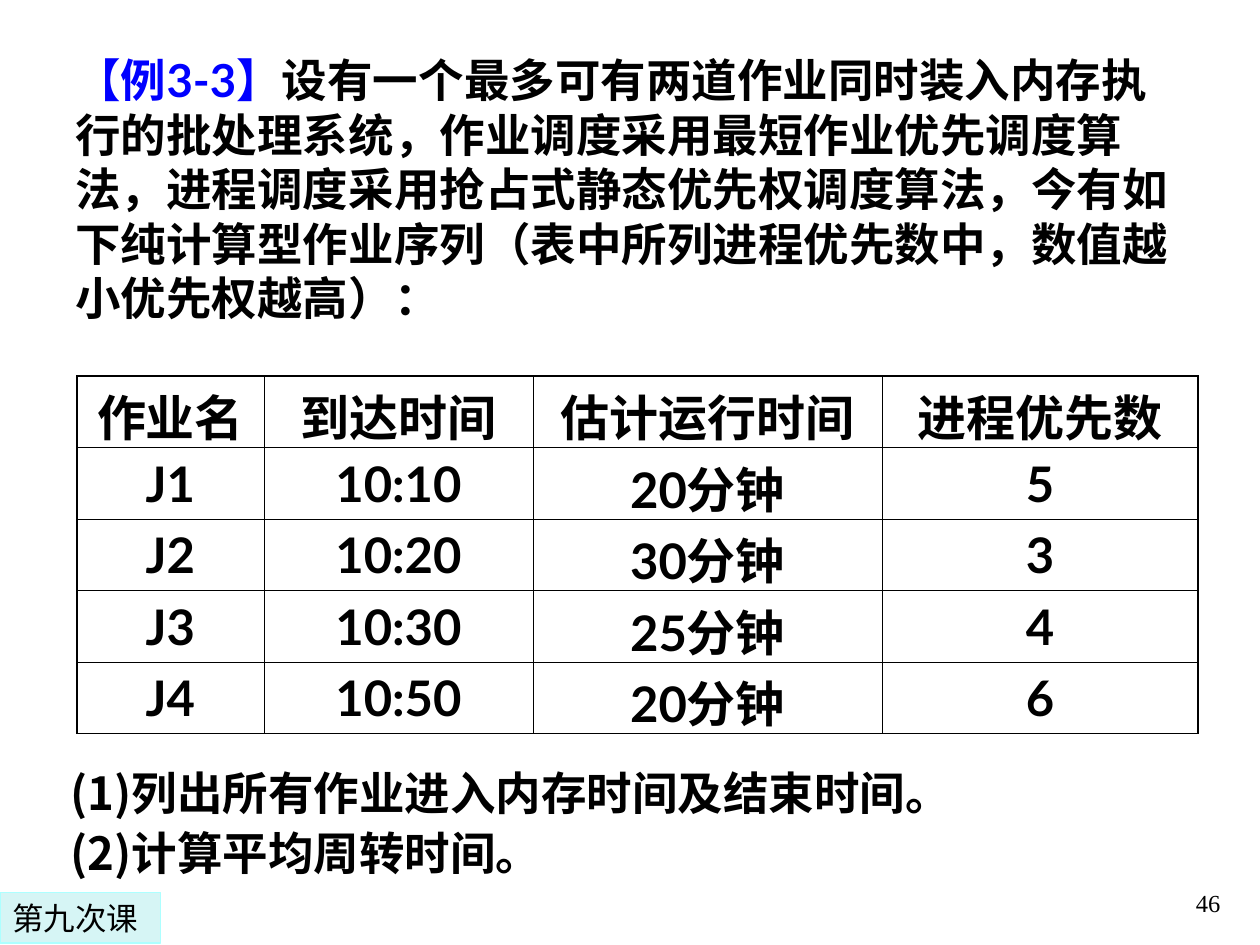
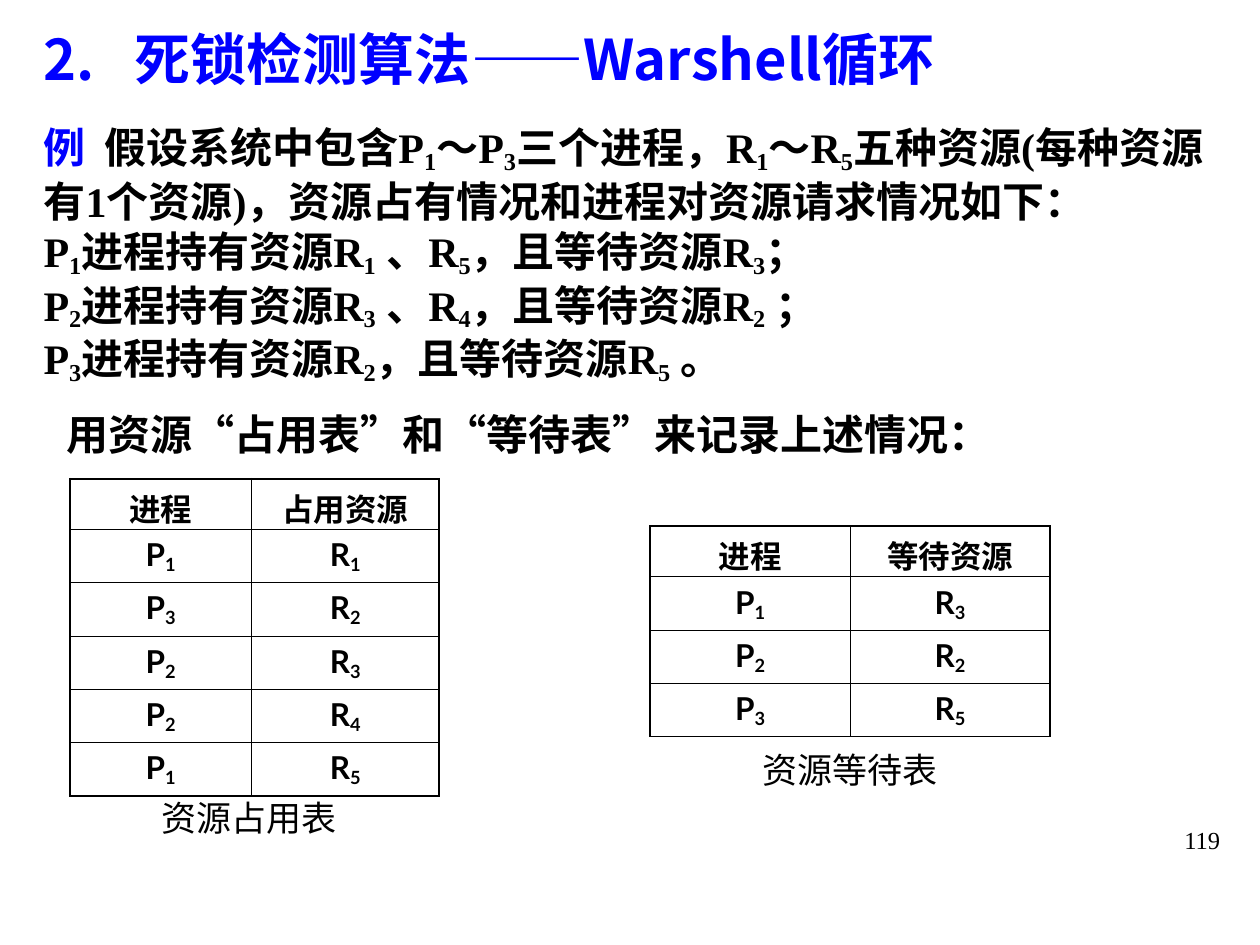
from dataclasses import dataclass

from lxml import etree
from pptx import Presentation
from pptx.dml.color import RGBColor
from pptx.enum.lang import MSO_LANGUAGE_ID
from pptx.enum.shapes import MSO_SHAPE
from pptx.enum.text import MSO_ANCHOR, PP_ALIGN
from pptx.oxml.ns import qn
from pptx.util import Pt

RECTANGLE = MSO_SHAPE.RECTANGLE
TOP, BOTTOM = MSO_ANCHOR.TOP, MSO_ANCHOR.BOTTOM
LEFT, CENTER, RIGHT = PP_ALIGN.LEFT, PP_ALIGN.CENTER, PP_ALIGN.RIGHT
CHINESE = MSO_LANGUAGE_ID.SIMPLIFIED_CHINESE

COLORS = {
    "text": "000000",
    "accent": "0000FF",
    "tag_fill": "D6F5F5",
    "tag_line": "ADFFFF",
    "border": "000000",
}
LATO, NOTO, TIMES, DEJAVU = "Lato", "Noto Sans CJK SC", "Times New Roman", "DejaVu Sans"
OUTER, INNER = 1.08, 0.45


@dataclass
class Part:
    """A stretch of text; an underscore makes the next character a subscript."""
    text: str
    font: str = LATO
    color: str = "text"
    east_asian: str = LATO


@dataclass
class TextBox:
    left: float
    top: float
    width: float
    height: float
    size: float
    paragraphs: list[list[Part]]
    bold: bool = True
    align: PP_ALIGN = LEFT
    anchor: MSO_ANCHOR = TOP
    gap: float = 0
    line: float | None = None
    tab: float | None = None


@dataclass
class Grid:
    left: float
    top: float
    col_widths: list[float]
    row_heights: list[float]
    size: float
    chinese_top: float
    rows: list[list[str]]


def rgb(name: str) -> RGBColor:
    return RGBColor.from_string(COLORS[name])


def add_run(p, text: str, part: Part, size: float, bold: bool, subscript: bool) -> None:
    r = p.add_run()
    r.text = text
    font = r.font
    font.size, font.bold, font.name = Pt(size), bold, part.font
    font.color.rgb = rgb(part.color)
    font.language_id = CHINESE
    rPr = r._r.get_or_add_rPr()
    if subscript:
        rPr.set("baseline", "-16000")
    ea = etree.Element(qn("a:ea"), typeface=part.east_asian)
    rPr.find(qn("a:latin")).addnext(ea)


def add_part(p, part: Part, size: float, bold: bool) -> None:
    plain, *marked = part.text.split("_")
    pieces = [(plain, False)]
    for piece in marked:
        pieces += [(piece[0], True), (piece[1:], False)]
    for text, subscript in pieces:
        if text:
            add_run(p, text, part, size, bold, subscript)


def set_tab(p, position: float) -> None:
    tabs = etree.SubElement(p._p.get_or_add_pPr(), qn("a:tabLst"))
    etree.SubElement(tabs, qn("a:tab"), pos=str(Pt(position)), algn="l")


def fill_text(tf, box: TextBox) -> None:
    tf.word_wrap = True
    tf.vertical_anchor = box.anchor
    for i, parts in enumerate(box.paragraphs):
        p = tf.add_paragraph() if i else tf.paragraphs[0]
        p.alignment = box.align
        p._p.get_or_add_pPr().set("hangingPunct", "0")
        if i and box.gap:
            p.space_before = Pt(box.gap)
        if box.line:
            p.line_spacing = Pt(box.line)
        if box.tab and not i:
            set_tab(p, box.tab)
        for part in parts:
            add_part(p, part, box.size, box.bold)


def add_text(s, box: TextBox) -> None:
    sp = s.shapes.add_textbox(Pt(box.left), Pt(box.top), Pt(box.width), Pt(box.height))
    fill_text(sp.text_frame, box)


def add_lesson_tag(s, box: TextBox) -> None:
    sp = s.shapes.add_shape(RECTANGLE, Pt(box.left), Pt(box.top), Pt(box.width), Pt(box.height))
    sp.shadow.inherit = False
    sp.fill.solid()
    sp.fill.fore_color.rgb = rgb("tag_fill")
    sp.line.color.rgb = rgb("tag_line")
    sp.line.width = Pt(0.75)
    fill_text(sp.text_frame, box)


def add_page_number(s, number: int, top: float) -> None:
    add_text(s, TextBox(554.6, top, 149.8, 36, 14, [[Part(str(number), TIMES)]],
                        bold=False, align=RIGHT, anchor=BOTTOM))


def set_borders(cell, widths: dict[str, float]) -> None:
    tcPr = cell._tc.get_or_add_tcPr()
    for i, (side, width) in enumerate(widths.items()):
        ln = etree.Element(qn(f"a:{side}"), w=str(Pt(width)))
        fill = etree.SubElement(ln, qn("a:solidFill"))
        etree.SubElement(fill, qn("a:srgbClr"), val=COLORS["border"])
        tcPr.insert(i, ln)


def add_grid(s, grid: Grid) -> None:
    """Draw a table; cells with Chinese text sit lower in their rows."""
    n_rows, n_cols = len(grid.rows), len(grid.col_widths)
    table = s.shapes.add_table(n_rows, n_cols, Pt(grid.left), Pt(grid.top),
                               Pt(sum(grid.col_widths)), Pt(sum(grid.row_heights))).table
    table.first_row = table.horz_banding = False
    for column, width in zip(table.columns, grid.col_widths):
        column.width = Pt(width)
    for row, height in zip(table.rows, grid.row_heights):
        row.height = Pt(height)
    for i, texts in enumerate(grid.rows):
        for j, text in enumerate(texts):
            cell = table.cell(i, j)
            cell.fill.background()
            if not text.isascii():
                cell.margin_top, cell.margin_bottom = Pt(grid.chinese_top), Pt(0)
            set_borders(cell, {
                "lnL": INNER if j else OUTER,
                "lnR": INNER if j < n_cols - 1 else OUTER,
                "lnT": INNER if i else OUTER,
                "lnB": INNER if i < n_rows - 1 else OUTER,
            })
            p = cell.text_frame.paragraphs[0]
            p.alignment = CENTER
            add_part(p, Part(text), grid.size, True)


def resource_grid(left: float, top: float, col_widths: list[float],
                  heading: str, pairs: list[tuple[int, int]]) -> Grid:
    """Table of process and resource numbers under a heading row."""
    rows = [["进程", heading]] + [[f"P_{p}", f"R_{r}"] for p, r in pairs]
    return Grid(left, top, col_widths, [28.8] + [30.5] * len(pairs), 18, 6.5, rows)


def build_scheduling_slide(prs) -> None:
    s = prs.slides.add_slide(prs.slide_layouts[6])
    add_page_number(s, 46, 491.8)
    add_text(s, TextBox(36, 26.2, 641.5, 163.4, 26, [[
        Part("【例", NOTO, "accent"),
        Part("3-3", LATO, "accent"),
        Part("】", NOTO, "accent"),
        Part("设有一个最多可有两道作业同时装入内存执行的批处理系统，作业调度采用最短作业优先调度算法，"
             "进程调度采用抢占式静态优先权调度算法，今有如下纯计算型作业序列"
             "（表中所列进程优先数中，数值越小优先权越高）：", NOTO),
    ]]))
    questions = ["(1)列出所有作业进入内存时间及结束时间。", "(2)计算平均周转时间。"]
    add_text(s, TextBox(33.1, 433.4, 588.2, 72.7, 26, [[Part(q, NOTO)] for q in questions],
                        gap=3.3, line=31.2))
    add_grid(s, Grid(44, 214.9, [106.8, 153.8, 199.4, 180.6], [40.8] * 5, 28, 7.2, [
        ["作业名", "到达时间", "估计运行时间", "进程优先数"],
        ["J1", "10:10", "20分钟", "5"],
        ["J2", "10:20", "30分钟", "3"],
        ["J3", "10:30", "25分钟", "4"],
        ["J4", "10:50", "20分钟", "6"],
    ]))
    add_lesson_tag(s, TextBox(0, 510.1, 91.7, 28.8, 18, [[Part("第九次课", DEJAVU)]], bold=False))


def build_deadlock_slide(prs) -> None:
    s = prs.slides.add_slide(prs.slide_layouts[6])
    add_page_number(s, 119, 455.8)
    add_text(s, TextBox(18, 15.8, 679, 40.3, 32, [[
        Part("2.\t死锁检测算法", NOTO, "accent"),
        Part("——", NOTO, "accent", NOTO),
        Part("Warshell循环", NOTO, "accent"),
    ]], anchor=BOTTOM, tab=52))
    holdings = [
        "P_1进程持有资源R_1 、R_5，且等待资源R_3；",
        "P_2进程持有资源R_3 、R_4，且等待资源R_2 ；",
        "P_3进程持有资源R_2，且等待资源R_5 。",
    ]
    add_text(s, TextBox(17.8, 65.9, 689, 159.8, 24, [
        [Part("例\t", LATO, "accent"),
         Part("假设系统中包含P_1～P_3三个进程，R_1～R_5五种资源(每种资源有1个资源)，"
              "资源占有情况和进程对资源请求情况如下：", TIMES)],
        *([Part(holding, TIMES)] for holding in holdings),
    ], tab=34.8))
    add_grid(s, resource_grid(40, 273.6, [103.7, 107.3], "占用资源",
                              [(1, 1), (3, 2), (2, 3), (2, 4), (1, 5)]))
    add_grid(s, resource_grid(371.5, 300.7, [114.3, 114.3], "等待资源",
                              [(1, 3), (2, 2), (3, 5)]))
    for caption, left, top, width in [("资源占用表", 57.4, 451.4, 169.9),
                                      ("资源等待表", 367.9, 424.1, 235.4)]:
        add_text(s, TextBox(left, top, width, 31.7, 20, [[Part(caption)]],
                            bold=False, align=CENTER))
    opening, closing = (Part(mark, TIMES, east_asian=NOTO) for mark in "“”")
    add_text(s, TextBox(30.7, 227.5, 626.4, 36, 24, [[
        Part("用资源"), opening, Part("占用表"), closing, Part("和"),
        opening, Part("等待表"), closing, Part("来记录上述情况："),
    ]], line=31))


def main() -> None:
    prs = Presentation()
    prs.slide_width, prs.slide_height = Pt(720), Pt(540)
    build_scheduling_slide(prs)
    build_deadlock_slide(prs)
    prs.save("out.pptx")


if __name__ == "__main__":
    main()
